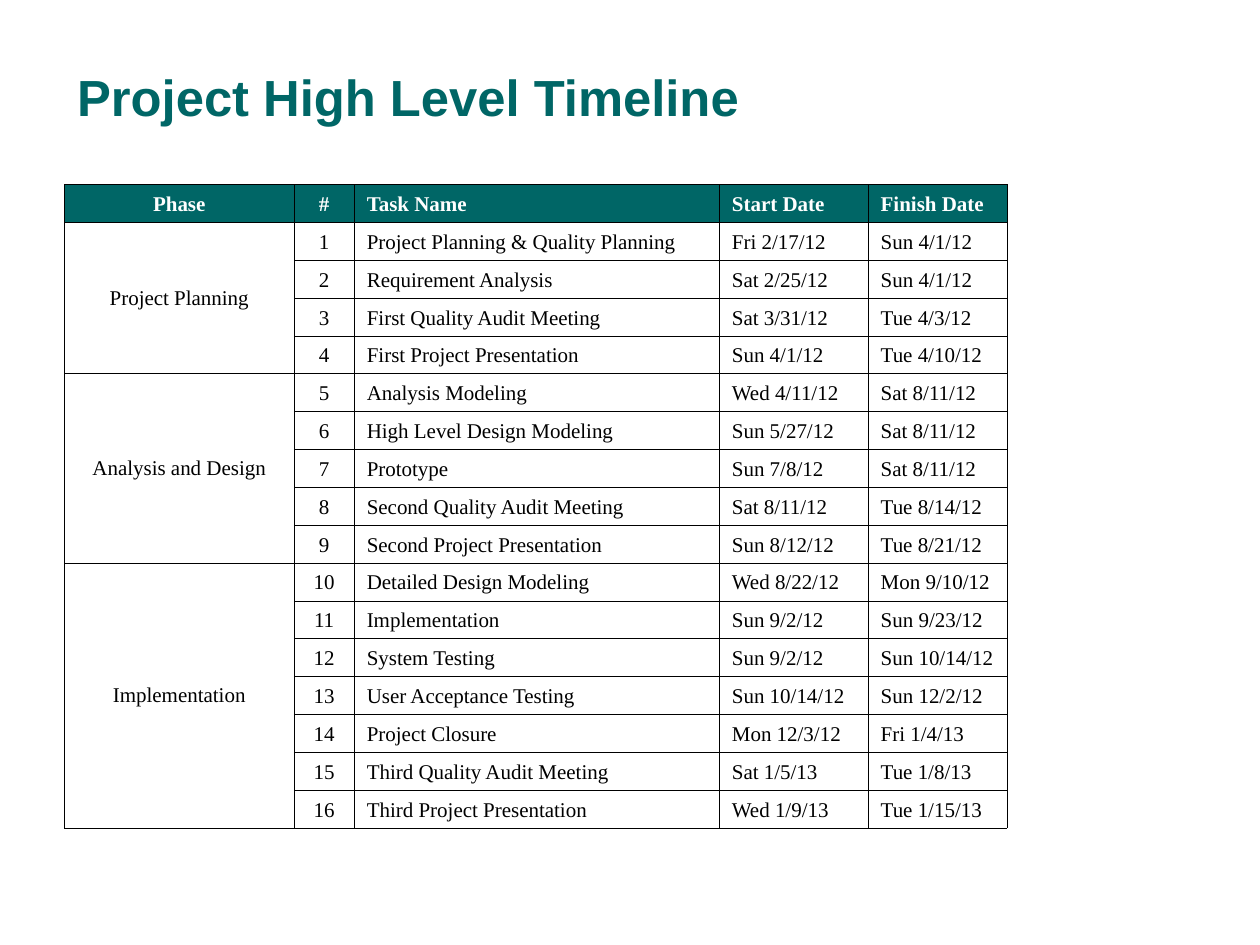
from lxml import etree
from pptx import Presentation
from pptx.dml.color import RGBColor
from pptx.enum import text
from pptx.oxml import ns
from pptx.util import Cm, Pt

COLORS = {"teal": "006666", "white": "FFFFFF", "black": "000000"}
AL = text.PP_ALIGN
HEADERS = ["Phase", "#", "Task Name", "Start Date", "Finish Date"]
HEADER_ALIGN = [AL.CENTER, AL.CENTER, AL.LEFT, AL.LEFT, AL.LEFT]
BODY_ALIGN = [AL.CENTER, AL.CENTER, AL.LEFT, AL.JUSTIFY, AL.JUSTIFY]
COL_WIDTHS = [4.63, 1.21, 7.36, 3, 2.8]
PHASES = {
    "Project Planning": [
        ("Project Planning & Quality Planning", "Fri 2/17/12", "Sun 4/1/12"),
        ("Requirement Analysis", "Sat 2/25/12", "Sun 4/1/12"),
        ("First Quality Audit Meeting", "Sat 3/31/12", "Tue 4/3/12"),
        ("First Project Presentation", "Sun 4/1/12", "Tue 4/10/12"),
    ],
    "Analysis and Design": [
        ("Analysis Modeling", "Wed 4/11/12", "Sat 8/11/12"),
        ("High Level Design Modeling", "Sun 5/27/12", "Sat 8/11/12"),
        ("Prototype", "Sun 7/8/12", "Sat 8/11/12"),
        ("Second Quality Audit Meeting", "Sat 8/11/12", "Tue 8/14/12"),
        ("Second Project Presentation", "Sun 8/12/12", "Tue 8/21/12"),
    ],
    "Implementation": [
        ("Detailed Design Modeling", "Wed 8/22/12", "Mon 9/10/12"),
        ("Implementation", "Sun 9/2/12", "Sun 9/23/12"),
        ("System Testing", "Sun 9/2/12", "Sun 10/14/12"),
        ("User Acceptance Testing", "Sun 10/14/12", "Sun 12/2/12"),
        ("Project Closure", "Mon 12/3/12", "Fri 1/4/13"),
        ("Third Quality Audit Meeting", "Sat 1/5/13", "Tue 1/8/13"),
        ("Third Project Presentation", "Wed 1/9/13", "Tue 1/15/13"),
    ],
}


def rgb(name):
    return RGBColor.from_string(COLORS[name])


def set_font(p, name, size, color, bold):
    p.font.name = name
    p.font.size = Pt(size)
    p.font.bold = bold
    p.font.color.rgb = rgb(color)


def add_title(s, title, left, top, width, height):
    sp = s.shapes.title
    sp.left, sp.top, sp.width, sp.height = left, top, width, height
    tf = sp.text_frame
    tf.text = title
    tf.vertical_anchor = text.MSO_ANCHOR.MIDDLE
    p = tf.paragraphs[0]
    p.alignment = AL.LEFT
    set_font(p, "Arial", 29, "teal", True)


def set_borders(cell, color, width):
    """Draw all four edges; call before filling, as the schema puts lines first."""
    tc_pr = cell._tc.get_or_add_tcPr()
    for side in ("lnL", "lnR", "lnT", "lnB"):
        ln = etree.SubElement(tc_pr, ns.qn(f"a:{side}"), w=str(width))
        fill = etree.SubElement(ln, ns.qn("a:solidFill"))
        etree.SubElement(fill, ns.qn("a:srgbClr"), val=COLORS[color])


def format_cell(cell, align, header):
    set_borders(cell, "black", Pt(0.45))
    cell.fill.solid()
    cell.fill.fore_color.rgb = rgb("teal" if header else "white")
    cell.vertical_anchor = text.MSO_ANCHOR.BOTTOM
    p = cell.text_frame.paragraphs[0]
    p.alignment = align
    set_font(p, "Times New Roman", 12, "white" if header else "black", header)


def add_timeline(s, left, top, width, height):
    n_rows = 1 + sum(len(tasks) for tasks in PHASES.values())
    table = s.shapes.add_table(n_rows, len(HEADERS), left, top, width, height).table
    table.first_row = table.horz_banding = False
    for column, col_width in zip(table.columns, COL_WIDTHS):
        column.width = Cm(col_width)

    for c, header in enumerate(HEADERS):
        table.cell(0, c).text = header
    row = 1
    for phase, tasks in PHASES.items():
        table.cell(row, 0).text = phase
        for number, task in enumerate(tasks, row):
            for c, value in enumerate((str(number), *task), 1):
                table.cell(number, c).text = value
        row += len(tasks)

    for r in range(n_rows):
        for c, align in enumerate(BODY_ALIGN if r else HEADER_ALIGN):
            format_cell(table.cell(r, c), align, header=r == 0)

    row = 1
    for tasks in PHASES.values():
        cell = table.cell(row, 0)
        cell.merge(table.cell(row + len(tasks) - 1, 0))
        cell.vertical_anchor = text.MSO_ANCHOR.MIDDLE
        row += len(tasks)


def main():
    prs = Presentation()
    prs.slide_width, prs.slide_height = Cm(25.4), Cm(19.05)
    s = prs.slides.add_slide(prs.slide_layouts.get_by_name("Title Only"))
    add_title(s, "Project High Level Timeline", Cm(1.3), Cm(0.71), Cm(21.8), Cm(2.44))
    add_timeline(s, Cm(1.3), Cm(3.72), Cm(sum(COL_WIDTHS)), Cm(12.98))
    prs.save("out.pptx")


if __name__ == "__main__":
    main()
